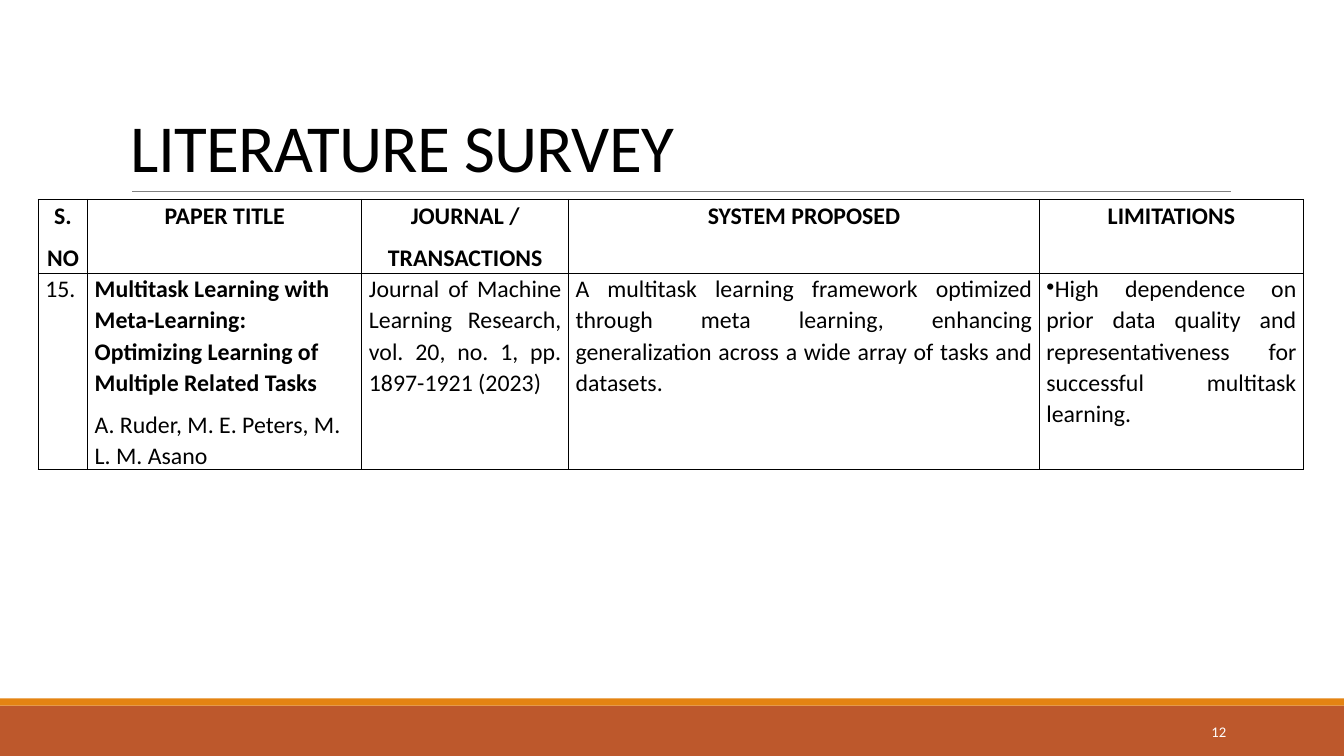
import pptx
import pptx.dml.color
import pptx.enum.shapes
import pptx.enum.text
import pptx.oxml
import pptx.oxml.ns
import pptx.util
import lxml.etree

Inches = pptx.util.Inches
Pt = pptx.util.Pt
Align = pptx.enum.text.PP_ALIGN
Anchor = pptx.enum.text.MSO_ANCHOR
qn = pptx.oxml.ns.qn

COLORS = {
    "rust": "BD582C",
    "orange": "E48312",
    "grey": "808080",
    "black": "000000",
    "white": "FFFFFF",
}

COLUMN_WIDTHS = [0.49, 2.72, 2.05, 4.67, 2.62]
ROW_HEIGHTS = [0.73, 1.95]
HEADINGS = [
    ["S.", "NO"],
    ["PAPER TITLE"],
    ["JOURNAL /", "TRANSACTIONS"],
    ["SYSTEM PROPOSED"],
    ["LIMITATIONS"],
]
SURVEY_ENTRY = [
    ["15."],
    ["Multitask Learning with Meta-Learning: Optimizing Learning of Multiple Related Tasks",
     "A. Ruder, M. E. Peters, M. L. M. Asano"],
    ["Journal of Machine Learning Research, vol. 20, no. 1, pp. 1897-1921 (2023)"],
    ["A multitask learning framework optimized through meta learning, enhancing "
     "generalization across a wide array of tasks and datasets."],
    ["High dependence on prior data quality and representativeness for successful "
     "multitask learning."],
]
TITLE_COLUMN, LIMITATIONS_COLUMN = 1, 4


def rgb(name):
    return pptx.dml.color.RGBColor.from_string(COLORS[name])


def write_text(para, text, size=17, color="black", bold=False, align=Align.LEFT,
               line_spacing=None, space_after=None, tracking=None, bullet=None):
    if bullet:
        properties = para._p.get_or_add_pPr()
        properties.set("marL", "0")
        properties.set("indent", str(Inches(-0.38)))
        lxml.etree.SubElement(properties, qn("a:buChar")).set("char", bullet)
    para.alignment = align
    if line_spacing:
        para.line_spacing = line_spacing
    if space_after:
        para.space_after = Pt(space_after)
    span = para.add_run()
    span.text = text
    span.font.name = "Calibri"
    span.font.size = Pt(size)
    span.font.bold = bold
    span.font.color.rgb = rgb(color)
    if tracking:
        span._r.get_or_add_rPr().set("spc", str(round(tracking * 100)))


class SurveyPage:
    def __init__(self, page):
        self.page = page
        self.cell_format = {"line_spacing": 1.07, "space_after": 8}

    def band(self, top, height, color):
        shape = self.page.shapes.add_shape(
            pptx.enum.shapes.MSO_SHAPE.RECTANGLE,
            0, Inches(top), Inches(13.33), Inches(height))
        shape.shadow.inherit = False
        shape.fill.solid()
        shape.fill.fore_color.rgb = rgb(color)
        shape.line.fill.background()

    def rule(self, left, right, top):
        line = self.page.shapes.add_connector(
            pptx.enum.shapes.MSO_CONNECTOR.STRAIGHT,
            Inches(left), Inches(top), Inches(right), Inches(top))
        line.line.color.rgb = rgb("grey")
        line.line.width = Pt(0.5)
        lxml.etree.SubElement(line._element.spPr, qn("a:effectLst"))

    def text(self, left, top, width, height, text, anchor, **text_format):
        box = self.page.shapes.add_textbox(
            Inches(left), Inches(top), Inches(width), Inches(height))
        box.text_frame.word_wrap = True
        box.text_frame.vertical_anchor = anchor
        write_text(box.text_frame.paragraphs[0], text, **text_format)

    def border(self, cell):
        properties = cell._tc.get_or_add_tcPr()
        for position, side in enumerate(("lnL", "lnR", "lnT", "lnB")):
            edge = pptx.oxml.parse_xml(
                f'<a:{side} xmlns:a="http://schemas.openxmlformats.org/drawingml/2006/main" '
                f'w="{Pt(1)}"><a:solidFill><a:srgbClr val="{COLORS["black"]}"/>'
                f'</a:solidFill></a:{side}>')
            properties.insert(position, edge)

    def cell(self, cell, lines, inset, formats):
        cell.margin_left = cell.margin_right = Inches(inset)
        cell.margin_top = cell.margin_bottom = 0
        cell.fill.background()
        self.border(cell)
        frame = cell.text_frame
        for index, (line, line_format) in enumerate(zip(lines, formats)):
            para = frame.add_paragraph() if index else frame.paragraphs[0]
            write_text(para, line, **self.cell_format, **line_format)

    def table(self, left, top):
        table = self.page.shapes.add_table(
            len(ROW_HEIGHTS), len(COLUMN_WIDTHS), Inches(left), Inches(top),
            Inches(sum(COLUMN_WIDTHS)), Inches(sum(ROW_HEIGHTS))).table
        table.first_row = table.horz_banding = False
        for column, width in zip(table.columns, COLUMN_WIDTHS):
            column.width = Inches(width)
        for row, height in zip(table.rows, ROW_HEIGHTS):
            row.height = Inches(height)
        heading = {"bold": True, "align": Align.CENTER}
        for index, (title, entry) in enumerate(zip(HEADINGS, SURVEY_ENTRY)):
            formats = [{"align": Align.JUSTIFY}]
            if index == TITLE_COLUMN:
                formats = [{"bold": True}, {}]
            elif index == LIMITATIONS_COLUMN:
                formats = [{"align": Align.JUSTIFY, "bullet": "•"}]
            self.cell(table.cell(0, index), title, 0.03, [heading] * len(title))
            self.cell(table.cell(1, index), entry, 0.07, formats)


def main():
    deck = pptx.Presentation()
    deck.slide_width = Inches(13.33)
    deck.slide_height = Inches(7.5)
    survey = SurveyPage(deck.slides.add_slide(deck.slide_layouts[6]))
    survey.band(7, 0.5, "rust")
    survey.band(6.93, 0.07, "orange")
    survey.rule(1.31, 12.21, 1.9)
    survey.text(1.2, 0.31, 11, 1.59, "LITERATURE SURVEY", Anchor.BOTTOM,
                size=48, line_spacing=0.85, tracking=-0.5)
    survey.table(0.38, 1.98)
    survey.text(10.83, 7.06, 1.43, 0.4, "12", Anchor.MIDDLE,
                size=10.5, color="white", align=Align.RIGHT)
    deck.save("out.pptx")


if __name__ == "__main__":
    main()
